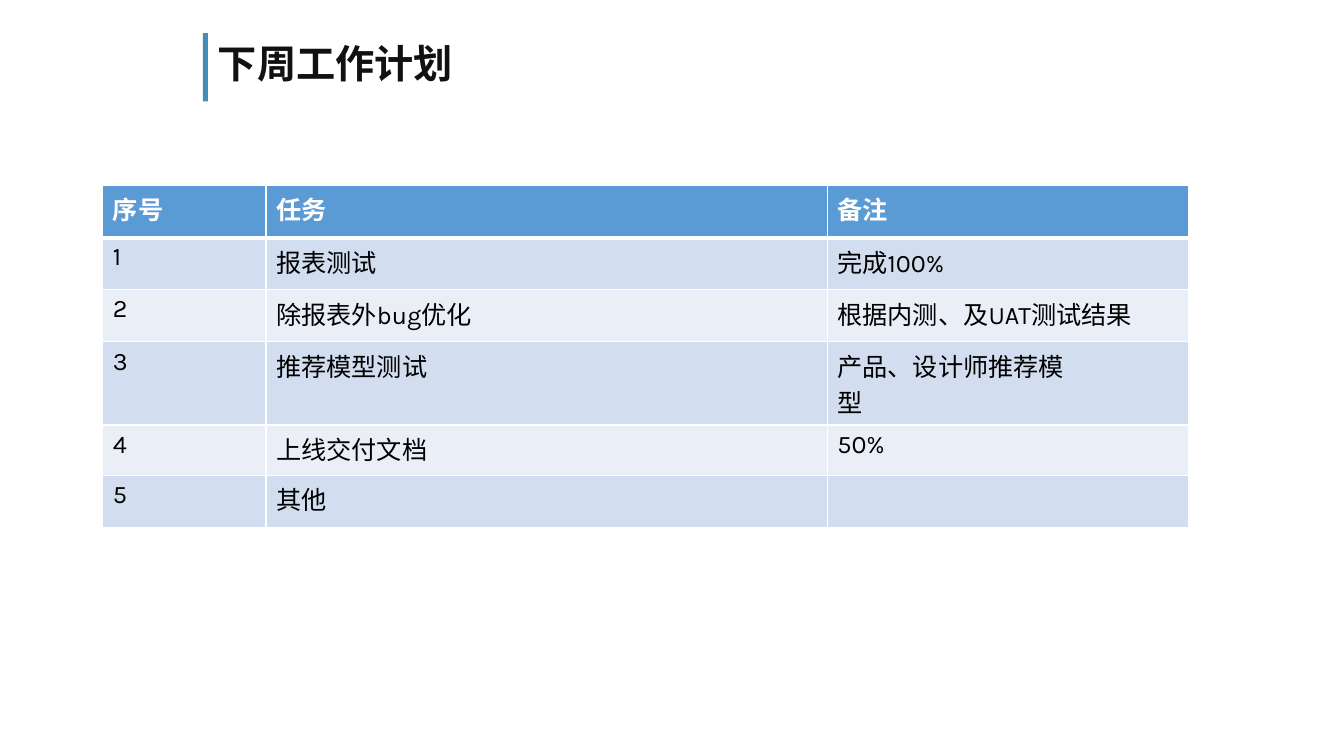
from dataclasses import dataclass

from pptx import Presentation
from pptx.dml.color import RGBColor as RGB
from pptx.enum.shapes import MSO_SHAPE as SHAPE
from pptx.enum.text import MSO_ANCHOR as ANCHOR, PP_ALIGN as ALIGN
from pptx.oxml.ns import qn
from pptx.util import Pt
from lxml.etree import SubElement


@dataclass(frozen=True)
class Theme:
    latin: str = "Karla"
    cjk: str = "Noto Sans CJK SC"
    title_size: int = 28
    cell_size: int = 18
    bar: RGB = RGB(0x44, 0x8D, 0xB7)
    title: RGB = RGB(0x11, 0x11, 0x11)
    text: RGB = RGB(0, 0, 0)
    white: RGB = RGB(0xFF, 0xFF, 0xFF)
    header: RGB = RGB(0x5B, 0x9B, 0xD5)
    bands: tuple = (RGB(0xD2, 0xDE, 0xEF), RGB(0xEA, 0xEF, 0xF7))
    rule: int = 1
    header_rule: int = 3


T = Theme()

PLAN = [
    ("序号", "任务", "备注"),
    ("1", "报表测试", "完成100%"),
    ("2", "除报表外bug优化", "根据内测、及UAT测试结果"),
    ("3", "推荐模型测试", "产品、设计师推荐模\n型"),
    ("4", "上线交付文档", "50%"),
    ("5", "其他", ""),
]
COL_WIDTHS = (116.64, 400.9, 258.4)
ROW_HEIGHTS = (37.2, 37.2, 37.2, 37.2, 36, 37.2)


def format_text(tf, size, color, bold, latin):
    for p in tf.paragraphs:
        for r in p.runs:
            font = r.font
            font.name, font.size, font.bold = latin, Pt(size), bold
            font.color.rgb = color
            SubElement(r._r.get_or_add_rPr(), qn("a:ea"), typeface=T.cjk)


def set_borders(cell, top, bottom):
    tcPr = cell._tc.get_or_add_tcPr()
    for side, width in (("L", T.rule), ("R", T.rule), ("T", top), ("B", bottom)):
        ln = SubElement(tcPr, qn(f"a:ln{side}"), w=str(Pt(width)))
        fill = SubElement(ln, qn("a:solidFill"))
        SubElement(fill, qn("a:srgbClr"), val=str(T.white))


def add_title(s, text, x, y, w, h):
    # Accent bar
    bar_w = 3.6
    bar = s.shapes.add_shape(SHAPE.RECTANGLE, Pt(x), Pt(y), Pt(bar_w), Pt(h))
    bar.shadow.inherit = False
    bar.fill.solid()
    bar.fill.fore_color.rgb = T.bar
    bar.line.fill.background()

    # Title beside the bar
    title = s.shapes.title
    title.left, title.top = Pt(x + bar_w), Pt(y)
    title.width, title.height = Pt(w - bar_w), Pt(h - 1.4)
    tf = title.text_frame
    tf.text = text
    tf.word_wrap = True
    tf.vertical_anchor = ANCHOR.MIDDLE
    p = tf.paragraphs[0]
    p.alignment, p.line_spacing = ALIGN.LEFT, 0.9
    format_text(tf, T.title_size, T.title, True, T.cjk)


def add_plan_table(s, rows, x, y, w, h):
    table = s.shapes.add_table(len(rows), len(rows[0]),
                               Pt(x), Pt(y), Pt(w), Pt(h)).table
    # Columns and rows share out the box
    for col, width in zip(table.columns, COL_WIDTHS):
        col.width = Pt(w * width / sum(COL_WIDTHS))
    for row, height in zip(table.rows, ROW_HEIGHTS):
        row.height = Pt(h * height / sum(ROW_HEIGHTS))

    # Header and banded body
    for i, row in enumerate(rows):
        is_header = i == 0
        for j, text in enumerate(row):
            cell = table.cell(i, j)
            cell.text = text
            set_borders(cell,
                        top=T.header_rule if i == 1 else T.rule,
                        bottom=T.header_rule if is_header else T.rule)
            cell.fill.solid()
            cell.fill.fore_color.rgb = T.header if is_header else T.bands[(i - 1) % 2]
            format_text(cell.text_frame, T.cell_size,
                        T.white if is_header else T.text, is_header, T.latin)


def add_plan_slide(prs):
    s = prs.slides.add_slide(prs.slide_layouts[5])
    add_title(s, "下周工作计划", 144.9, 23.6, 666, 48.8)
    add_plan_table(s, PLAN, 73.4, 132.6, sum(COL_WIDTHS), sum(ROW_HEIGHTS))


def main():
    prs = Presentation()
    prs.slide_width, prs.slide_height = Pt(960), Pt(540)
    add_plan_slide(prs)
    prs.save("out.pptx")


if __name__ == "__main__":
    main()
